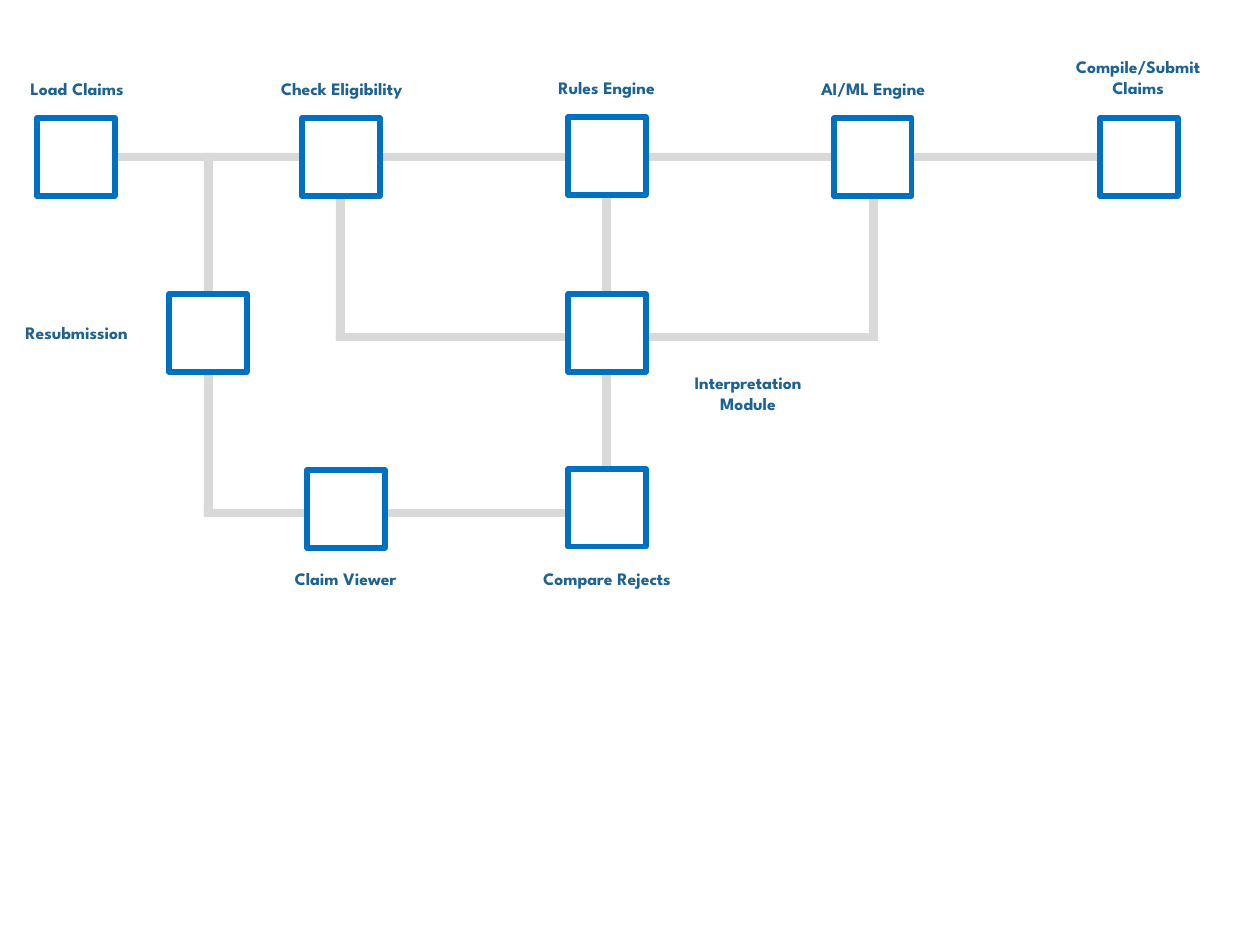
from dataclasses import dataclass

from pptx import Presentation
from pptx.dml.color import RGBColor
from pptx.enum.shapes import MSO_SHAPE
from pptx.enum.text import MSO_AUTO_SIZE, PP_ALIGN
from pptx.util import Pt

RECTANGLE = MSO_SHAPE.RECTANGLE
CENTER = PP_ALIGN.CENTER
FIT_SHAPE = MSO_AUTO_SIZE.SHAPE_TO_FIT_TEXT

EMU_PER_PX = 914400 / 126
SLIDE_SIZE = (1260, 945)


@dataclass(frozen=True)
class Theme:
    rail: RGBColor = RGBColor(0xD9, 0xD9, 0xD9)
    box_fill: RGBColor = RGBColor(0xFF, 0xFF, 0xFF)
    box_line: RGBColor = RGBColor(0x00, 0x70, 0xC0)
    label: RGBColor = RGBColor(0x1D, 0x62, 0x94)
    font: str = "League Spartan"
    label_size: Pt = Pt(10)
    line_width: Pt = Pt(3)


THEME = Theme()

BOX = 78
RAIL_HEIGHT, RAIL_WIDTH = 8, 9
LINE_HEIGHT, LABEL_PADDING = 21, 13

# left, top, length
HORIZONTAL_RAILS = [(115, 153, 1017), (204, 509, 364), (336, 333, 542)]
VERTICAL_RAILS = [(869, 192, 149), (204, 153, 363), (602, 195, 274), (336, 198, 142)]

# box left, box top, label, label left, label top, label width, label lines
STEPS = [
    (37, 118, "Load Claims", 9, 72, 136, 1),
    (302, 118, "Check Eligibility", 262, 72, 159, 1),
    (568, 117, "Rules Engine", 539, 71, 135, 1),
    (834, 118, "AI/ML Engine", 800, 72, 146, 1),
    (1100, 118, "Compile/Submit Claims", 1053, 50, 170, 2),
    (169, 294, "Resubmission", 6, 316, 141, 1),
    (568, 294, "Interpretation Module", 659, 366, 178, 2),
    (307, 470, "Claim Viewer", 275, 562, 141, 1),
    (568, 469, "Compare Rejects", 518, 562, 178, 1),
]


def px(*lengths):
    return [round(length * EMU_PER_PX) for length in lengths]


def add_rectangle(slide, left, top, width, height, fill, line=None):
    shape = slide.shapes.add_shape(RECTANGLE, *px(left, top, width, height))
    shape.shadow.inherit = False
    shape.fill.solid()
    shape.fill.fore_color.rgb = fill
    if line is None:
        shape.line.fill.background()
    else:
        shape.line.color.rgb = line
        shape.line.width = THEME.line_width


def add_label(slide, text, left, top, width, lines):
    height = lines * LINE_HEIGHT + LABEL_PADDING
    frame = slide.shapes.add_textbox(*px(left, top, width, height)).text_frame
    frame.word_wrap = True
    frame.auto_size = FIT_SHAPE
    paragraph = frame.paragraphs[0]
    paragraph.alignment = CENTER
    run = paragraph.add_run()
    run.text = text
    run.font.name = THEME.font
    run.font.size = THEME.label_size
    run.font.bold = True
    run.font.color.rgb = THEME.label


def main():
    presentation = Presentation()
    presentation.slide_width, presentation.slide_height = px(*SLIDE_SIZE)
    slide = presentation.slides.add_slide(presentation.slide_layouts[6])

    for left, top, length in HORIZONTAL_RAILS:
        add_rectangle(slide, left, top, length, RAIL_HEIGHT, THEME.rail)
    for left, top, length in VERTICAL_RAILS:
        add_rectangle(slide, left, top, RAIL_WIDTH, length, THEME.rail)
    for box_left, box_top, *label in STEPS:
        add_rectangle(slide, box_left, box_top, BOX, BOX, THEME.box_fill, THEME.box_line)
        add_label(slide, *label)

    presentation.save("out.pptx")


if __name__ == "__main__":
    main()
